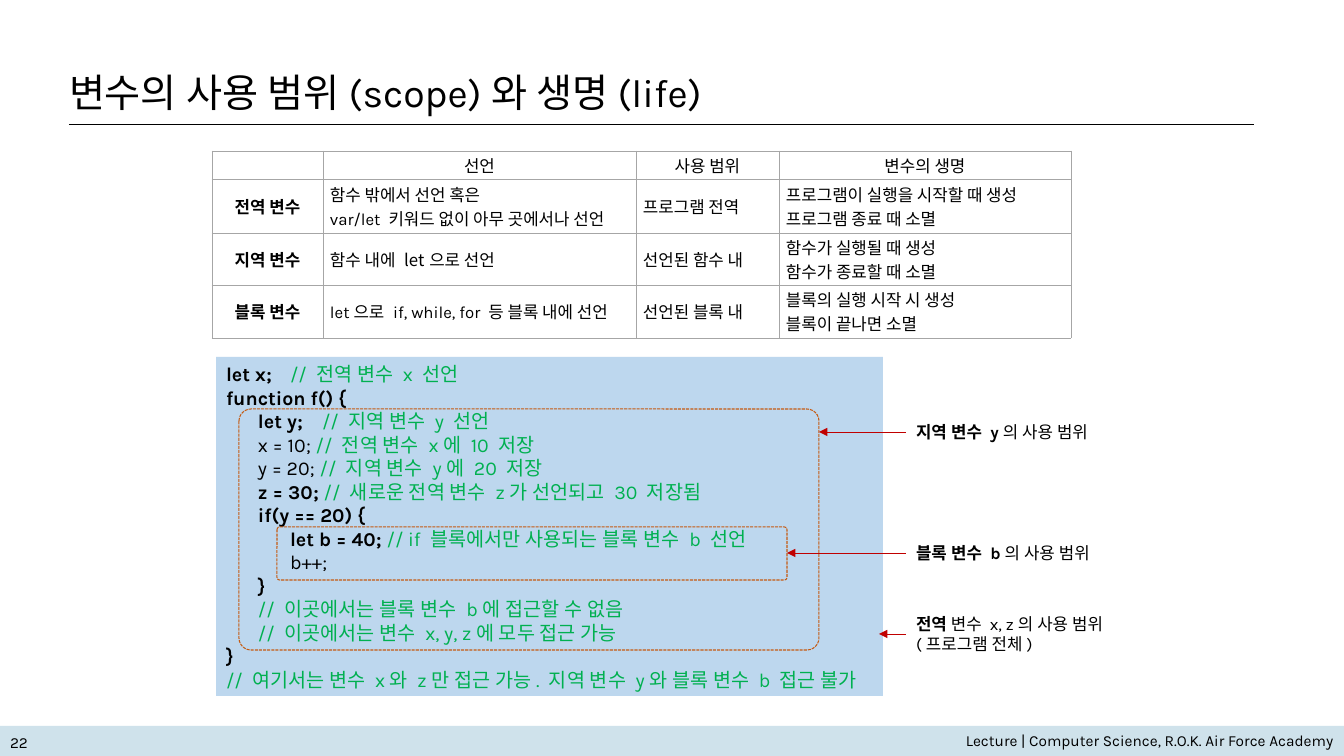
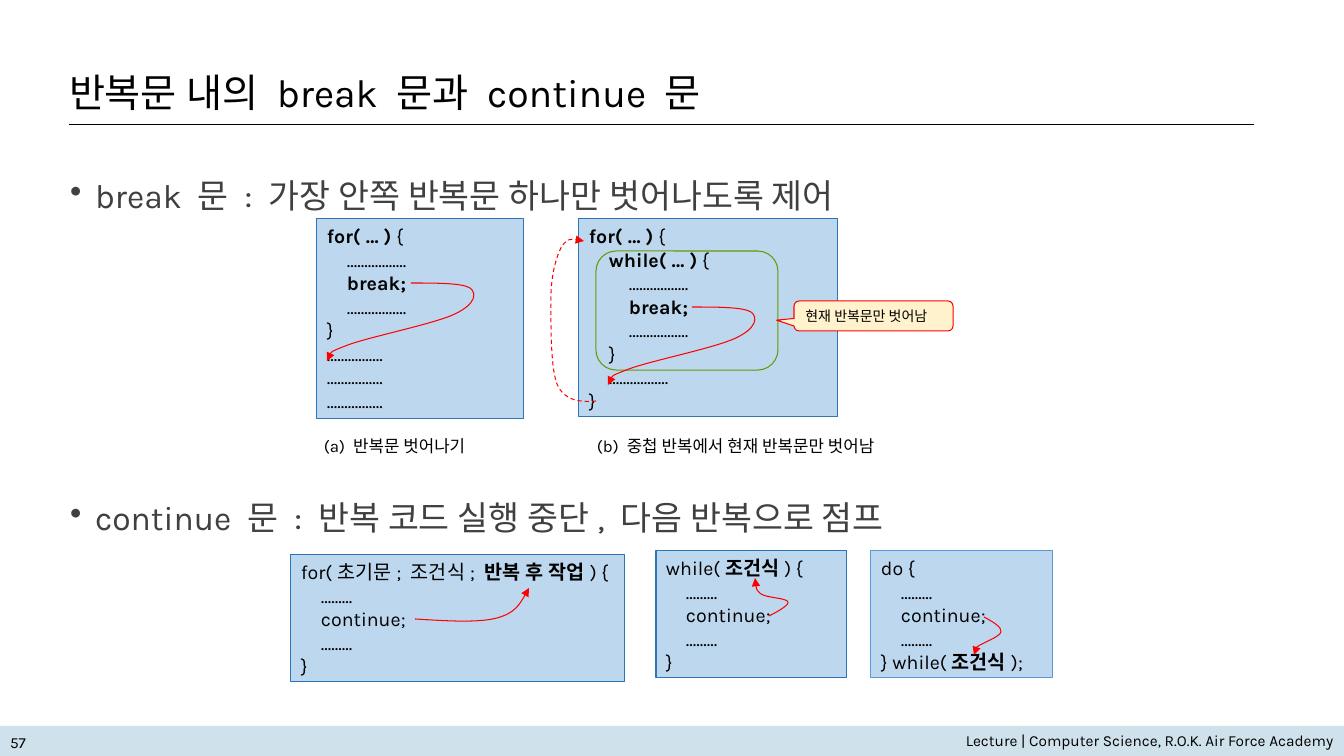
from dataclasses import dataclass
from typing import NamedTuple, Optional

from lxml.etree import SubElement
from pptx import Presentation
from pptx.dml.color import RGBColor
from pptx.enum.dml import MSO_LINE
from pptx.enum.shapes import MSO_CONNECTOR, MSO_SHAPE
from pptx.enum.text import MSO_ANCHOR, PP_ALIGN
from pptx.oxml.ns import qn
from pptx.util import Emu, Pt

EMU_PER_PX = 914400 / 100.8
SLIDE_W, SLIDE_H = 1344, 756
INSET_X, INSET_Y = 10, 5

LATIN, HANGUL = "Karla", "Noto Sans CJK KR"

BLACK = RGBColor(0x00, 0x00, 0x00)
BODY_GRAY = RGBColor(0x40, 0x40, 0x40)
FOOTER_BLUE = RGBColor(0xCF, 0xE2, 0xEB)
GRID_GRAY = RGBColor(0xA6, 0xA6, 0xA6)
CODE_BLUE = RGBColor(0xBD, 0xD7, 0xEE)
CODE_EDGE = RGBColor(0x2E, 0x75, 0xB6)
LIGHT_EDGE = RGBColor(0x5B, 0x9B, 0xD5)
COMMENT_GREEN = RGBColor(0x00, 0xB0, 0x50)
SCOPE_ORANGE = RGBColor(0xC5, 0x5A, 0x11)
LOOP_GREEN = RGBColor(0x66, 0x99, 0x00)
LABEL_RED = RGBColor(0xC0, 0x00, 0x00)
JUMP_RED = RGBColor(0xFF, 0x00, 0x00)
NOTE_YELLOW = RGBColor(0xFF, 0xF2, 0xCC)


class Box(NamedTuple):
    left: int
    top: int
    width: int
    height: int


class Point(NamedTuple):
    x: int
    y: int


@dataclass(frozen=True)
class TextStyle:
    size: float
    color: RGBColor = BLACK
    align: PP_ALIGN = PP_ALIGN.LEFT
    latin: str = LATIN
    hangul: str = LATIN
    bold: bool = False
    line_spacing: Optional[float] = None
    tab: int = 0


@dataclass(frozen=True)
class Outline:
    color: RGBColor
    width: float = 0.75
    dash: Optional[MSO_LINE] = None


@dataclass(frozen=True)
class CodeBox:
    box: Box
    lines: list[str]
    edge: Optional[RGBColor] = CODE_EDGE
    tab: int = 20


@dataclass(frozen=True)
class ScopeLabel:
    lines: list[str]
    box: Box
    arrow_start: Point
    arrow_end: Point


@dataclass(frozen=True)
class JumpArrow:
    """A start point followed by three points for each cubic curve."""
    points: list[tuple[int, int]]
    dash: Optional[MSO_LINE] = None

    def moved(self, dx: int, dy: int) -> "JumpArrow":
        return JumpArrow([(x + dx, y + dy) for x, y in self.points], self.dash)


TITLE = TextStyle(28, line_spacing=0.9)
BODY = TextStyle(24, BODY_GRAY, line_spacing=1.25)
FOOTER = TextStyle(11, align=PP_ALIGN.RIGHT)
PAGE_NUMBER = TextStyle(11)
LABEL = TextStyle(12)
NOTE = TextStyle(10)
CELL = TextStyle(12, hangul=HANGUL)
CELL_CENTER = TextStyle(12, align=PP_ALIGN.CENTER, hangul=HANGUL)
CELL_HEAD = TextStyle(12, align=PP_ALIGN.CENTER, latin=HANGUL, hangul=HANGUL, bold=True)
CELL_HANGUL = TextStyle(12, latin=HANGUL, hangul=HANGUL)

SCOPE_COLUMNS = [111, 313, 143, 292]
SCOPE_ROWS = [28, 54, 52, 53]
SCOPE_CELLS = [
    [[], ["선언"], ["사용 범위"], ["변수의 생명"]],
    [["전역 변수"], ["함수 밖에서 선언 혹은", "var/let 키워드 없이 아무 곳에서나 선언"],
     ["프로그램 전역"], ["프로그램이 실행을 시작할 때 생성", "프로그램 종료 때 소멸"]],
    [["지역 변수"], ["함수 내에 let으로 선언"],
     ["선언된 함수 내"], ["함수가 실행될 때 생성", "함수가 종료할 때 소멸"]],
    [["블록 변수"], ["let으로 if, while, for 등 블록 내에 선언"],
     ["선언된 블록 내"], ["블록의 실행 시작 시 생성", "블록이 끝나면 소멸"]],
]

SCOPE_CODE = CodeBox(Box(216, 357, 667, 339), [
    "**let x;** \t// 전역 변수 x 선언",
    "**function f() {**",
    "\t**let y;** \t// 지역 변수 y 선언",
    "\tx = 10; // 전역 변수 x에 10 저장",
    "\ty = 20; // 지역 변수 y에 20 저장",
    "\t**z = 30;** // 새로운 전역 변수 z가 선언되고 30 저장됨",
    "\t**if(y == 20) {**",
    "\t\t**let b = 40;** // if 블록에서만 사용되는 블록 변수 b 선언",
    "\t\tb++;",
    "\t**}**",
    "\t// 이곳에서는 블록 변수 b에 접근할 수 없음",
    "\t// 이곳에서는 변수 x, y, z에 모두 접근 가능",
    "**}**",
    "// 여기서는 변수 x와 z만 접근 가능. 지역 변수 y와 블록 변수 b 접근 불가",
], edge=None, tab=32)
SCOPE_FRAMES = [Box(239, 409, 580, 241), Box(277, 527, 510, 53)]
SCOPE_LABELS = [
    ScopeLabel(["**지역 변수 y**의 사용 범위"], Box(906, 417, 221, 29),
               Point(906, 432), Point(819, 432)),
    ScopeLabel(["**블록 변수 b**의 사용 범위"], Box(906, 538, 221, 29),
               Point(906, 553), Point(787, 553)),
    ScopeLabel(["**전역** 변수 x, z의 사용 범위", "(프로그램 전체)"], Box(906, 609, 221, 50),
               Point(906, 634), Point(879, 634)),
]

DOTS_LONG, DOTS_AFTER, DOTS_SHORT = "." * 17, "." * 16, "." * 9
CONTINUE_BODY = [f"\t{DOTS_SHORT}", "\tcontinue;", f"\t{DOTS_SHORT}"]
LOOP_CODES = [
    CodeBox(Box(317, 219, 207, 200), [
        "**for( … )** {", f"\t{DOTS_LONG}", "\t**break;**", f"\t{DOTS_LONG}", "}",
        *[DOTS_AFTER] * 3]),
    CodeBox(Box(579, 219, 259, 198), [
        "**for( … )** {", "\t**while( … )** {", f"\t\t{DOTS_LONG}", "\t\t**break;**",
        f"\t\t{DOTS_LONG}", "\t}", f"\t{DOTS_LONG}", "}"]),
    CodeBox(Box(291, 555, 334, 127), [
        "for(초기문; 조건식; **반복 후 작업**) {", *CONTINUE_BODY, "}"]),
    CodeBox(Box(656, 551, 191, 127), ["while(**조건식**) {", *CONTINUE_BODY, "}"]),
    CodeBox(Box(871, 551, 182, 127), ["do {", *CONTINUE_BODY, "} while(**조건식**);"],
            edge=LIGHT_EDGE),
]
BREAK_JUMP = JumpArrow([
    (411, 283), (436, 283), (462, 283), (470, 288), (477, 293), (476, 304), (455, 314),
    (434, 324), (369, 337), (348, 345), (327, 353), (327, 357), (327, 361)])
JUMPS = [
    BREAK_JUMP,
    BREAK_JUMP.moved(281, 24),
    JumpArrow([
        (596, 401), (581, 402), (565, 402), (557, 384), (550, 366), (551, 317), (551, 293),
        (552, 271), (557, 255), (562, 246), (568, 238), (576, 239), (584, 241)],
        MSO_LINE.DASH),
    JumpArrow([(415, 619), (447, 621), (478, 623), (497, 618), (515, 613), (522, 601),
               (529, 588)]),
    JumpArrow([(769, 616), (779, 611), (789, 605), (788, 602), (787, 598), (767, 598),
               (761, 594), (756, 590), (755, 584), (755, 578)]),
    JumpArrow([(984, 617), (993, 622), (1002, 627), (1001, 632), (1000, 637), (982, 643),
               (977, 647), (973, 651), (974, 653), (974, 655)]),
]
CAPTIONS = [
    ("(a) 반복문 벗어나기", Box(314, 431, 200, 29)),
    ("(b) 중첩 반복에서 현재 반복문만 벗어남", Box(587, 431, 354, 30)),
]


def px(length: float) -> Emu:
    return Emu(round(length * EMU_PER_PX))


def emu_box(box: Box) -> list[Emu]:
    return [px(length) for length in box]


def add_marked_runs(paragraph, text: str, bold: bool) -> None:
    """Bold the parts between ** marks and turn // comments green."""
    code, slashes, comment = text.partition("//")
    for index, part in enumerate(code.split("**")):
        if part:
            run = paragraph.add_run()
            run.text = part
            run.font.bold = bold or index % 2 == 1
    if slashes:
        run = paragraph.add_run()
        run.text = slashes + comment
        run.font.color.rgb = COMMENT_GREEN


def write_lines(frame, lines: list[str], style: TextStyle) -> None:
    for index, text in enumerate(lines):
        paragraph = frame.paragraphs[0] if index == 0 else frame.add_paragraph()
        paragraph.alignment = style.align
        if style.line_spacing:
            paragraph.line_spacing = style.line_spacing
        if style.tab:
            stops = SubElement(paragraph._p.get_or_add_pPr(), qn("a:tabLst"))
            for count in range(1, 4):
                SubElement(stops, qn("a:tab"), pos=str(px(style.tab * count)), algn="l")
        font = paragraph.font
        font.size, font.name, font.color.rgb = Pt(style.size), style.latin, style.color
        SubElement(paragraph._p.pPr.find(qn("a:defRPr")), qn("a:ea"), typeface=style.hangul)
        add_marked_runs(paragraph, text, style.bold)


def set_frame(frame, anchor: MSO_ANCHOR, inset_x: int, inset_y: int) -> None:
    frame.word_wrap = True
    frame.vertical_anchor = anchor
    frame.margin_left = frame.margin_right = px(inset_x)
    frame.margin_top = frame.margin_bottom = px(inset_y)


def add_text(slide, box: Box, lines: list[str], style: TextStyle,
             anchor: MSO_ANCHOR = MSO_ANCHOR.TOP, inset_x: int = INSET_X,
             inset_y: int = INSET_Y):
    frame = slide.shapes.add_textbox(*emu_box(box)).text_frame
    set_frame(frame, anchor, inset_x, inset_y)
    write_lines(frame, lines, style)
    return frame


def set_line(line, outline: Outline, arrow: bool = False) -> None:
    line.color.rgb = outline.color
    line.width = Pt(outline.width)
    if outline.dash:
        line.dash_style = outline.dash
    if arrow:
        SubElement(line._get_or_add_ln(), qn("a:tailEnd"), type="triangle")


def add_panel(slide, preset: MSO_SHAPE, box: Box, fill: Optional[RGBColor] = None,
              outline: Optional[Outline] = None, adjustments: tuple[float, ...] = ()):
    panel = slide.shapes.add_shape(preset, *emu_box(box))
    panel.shadow.inherit = False
    for index, value in enumerate(adjustments):
        panel.adjustments[index] = value
    if fill:
        panel.fill.solid()
        panel.fill.fore_color.rgb = fill
    else:
        panel.fill.background()
    if outline:
        set_line(panel.line, outline)
    else:
        panel.line.fill.background()
    set_frame(panel.text_frame, MSO_ANCHOR.TOP, INSET_X, INSET_Y)
    return panel


def add_straight(slide, start: Point, end: Point, outline: Outline, arrow: bool = False) -> None:
    connector = slide.shapes.add_connector(
        MSO_CONNECTOR.STRAIGHT, px(start.x), px(start.y), px(end.x), px(end.y))
    set_line(connector.line, outline, arrow)
    SubElement(connector._element.spPr, qn("a:effectLst"))


def add_jump(slide, jump: JumpArrow) -> None:
    start, *rest = jump.points
    builder = slide.shapes.build_freeform(*start, scale=EMU_PER_PX)
    builder.add_line_segments(rest, close=False)
    curve = builder.convert_to_shape()
    outline_path = next(curve._element.iter(qn("a:path")))
    segments = outline_path.findall(qn("a:lnTo"))
    for first in range(0, len(segments), 3):
        bezier = SubElement(outline_path, qn("a:cubicBezTo"))
        for segment in segments[first:first + 3]:
            bezier.append(segment[0])
            outline_path.remove(segment)
    curve.shadow.inherit = False
    curve.fill.background()
    set_line(curve.line, Outline(JUMP_RED, dash=jump.dash), arrow=True)


def add_code(slide, code: CodeBox) -> None:
    outline = Outline(code.edge) if code.edge else None
    panel = add_panel(slide, MSO_SHAPE.RECTANGLE, code.box, CODE_BLUE, outline)
    write_lines(panel.text_frame, code.lines, TextStyle(14, tab=code.tab))


def set_borders(cell, color: RGBColor) -> None:
    properties = cell._tc.get_or_add_tcPr()
    for index, side in enumerate(("lnL", "lnR", "lnT", "lnB")):
        border = SubElement(properties, qn(f"a:{side}"), w=str(Pt(0.5)))
        properties.insert(index, border)
        fill = SubElement(border, qn("a:solidFill"))
        SubElement(fill, qn("a:srgbClr"), val=str(color))


def cell_style(row: int, column: int) -> TextStyle:
    if row == 0:
        return CELL_CENTER
    if column == 0:
        return CELL_HEAD
    return CELL_HANGUL if row == 2 and column < 3 else CELL


def add_scope_table(slide) -> None:
    box = Box(212, 151, sum(SCOPE_COLUMNS), sum(SCOPE_ROWS))
    table = slide.shapes.add_table(
        len(SCOPE_ROWS), len(SCOPE_COLUMNS), *emu_box(box)).table
    table.first_row = table.horz_banding = False
    for column, width in zip(table.columns, SCOPE_COLUMNS):
        column.width = px(width)
    for row_index, (height, texts) in enumerate(zip(SCOPE_ROWS, SCOPE_CELLS)):
        table.rows[row_index].height = px(height)
        for column_index, lines in enumerate(texts):
            cell = table.cell(row_index, column_index)
            cell.fill.background()
            set_borders(cell, GRID_GRAY)
            cell.vertical_anchor = MSO_ANCHOR.MIDDLE
            cell.margin_left = cell.margin_right = px(7)
            cell.margin_top = cell.margin_bottom = px(2)
            if lines:
                write_lines(cell.text_frame, lines, cell_style(row_index, column_index))
            else:
                SubElement(cell.text_frame.paragraphs[0]._p, qn("a:endParaRPr"), sz="1200")


def add_base_slide(deck, title: str, number: int):
    slide = deck.slides.add_slide(deck.slide_layouts[6])
    add_panel(slide, MSO_SHAPE.RECTANGLE, Box(0, 726, SLIDE_W, 30), FOOTER_BLUE)
    add_text(slide, Box(76, 726, 1268, 28),
             ["Lecture | Computer Science, R.O.K. Air Force Academy"], FOOTER)
    add_text(slide, Box(0, 730, 76, 24), [str(number)], PAGE_NUMBER, MSO_ANCHOR.MIDDLE)
    add_straight(slide, Point(69, 124), Point(1254, 124), Outline(BLACK, 0.5))
    add_text(slide, Box(69, 74, 1182, 42), [title], TITLE, MSO_ANCHOR.MIDDLE, 0, 0)
    return slide


def add_scope_slide(deck) -> None:
    slide = add_base_slide(deck, "변수의 사용 범위(scope)와 생명(life)", 22)
    add_scope_table(slide)
    add_code(slide, SCOPE_CODE)
    for frame_box in SCOPE_FRAMES:
        add_panel(slide, MSO_SHAPE.ROUNDED_RECTANGLE, frame_box,
                  outline=Outline(SCOPE_ORANGE, dash=MSO_LINE.SQUARE_DOT), adjustments=(0.05,))
    for label in SCOPE_LABELS:
        add_text(slide, label.box, label.lines, LABEL)
        add_straight(slide, label.arrow_start, label.arrow_end, Outline(LABEL_RED, 0.5), True)


def add_jump_slide(deck) -> None:
    slide = add_base_slide(deck, "반복문 내의 break 문과 continue 문", 57)
    topics = add_text(slide, Box(60, 160, 1192, 520), [
        "break 문 : 가장 안쪽 반복문 하나만 벗어나도록 제어",
        "continue 문 : 반복 코드 실행 중단, 다음 반복으로 점프"], BODY)
    for topic in topics.paragraphs:
        properties = topic._p.pPr
        properties.set("marL", str(px(25)))
        properties.set("indent", str(px(-25)))
        bullet = SubElement(properties, qn("a:buChar"), char="•")
        properties.find(qn("a:defRPr")).addprevious(bullet)
    topics.paragraphs[1].space_before = Pt(194)
    for code in LOOP_CODES:
        add_code(slide, code)
    add_panel(slide, MSO_SHAPE.ROUNDED_RECTANGLE, Box(596, 251, 182, 119),
              outline=Outline(LOOP_GREEN), adjustments=(0.17,))
    for jump in JUMPS:
        add_jump(slide, jump)
    note = add_panel(slide, MSO_SHAPE.ROUNDED_RECTANGULAR_CALLOUT, Box(794, 301, 159, 30),
                     NOTE_YELLOW, Outline(JUMP_RED), (-0.61, 0.14, 0.17))
    write_lines(note.text_frame, ["현재 반복문만 벗어남"], NOTE)
    for caption, box in CAPTIONS:
        add_text(slide, box, [caption], LABEL)


def main() -> None:
    deck = Presentation()
    deck.slide_width, deck.slide_height = px(SLIDE_W), px(SLIDE_H)
    add_scope_slide(deck)
    add_jump_slide(deck)
    deck.save("out.pptx")


if __name__ == "__main__":
    main()
